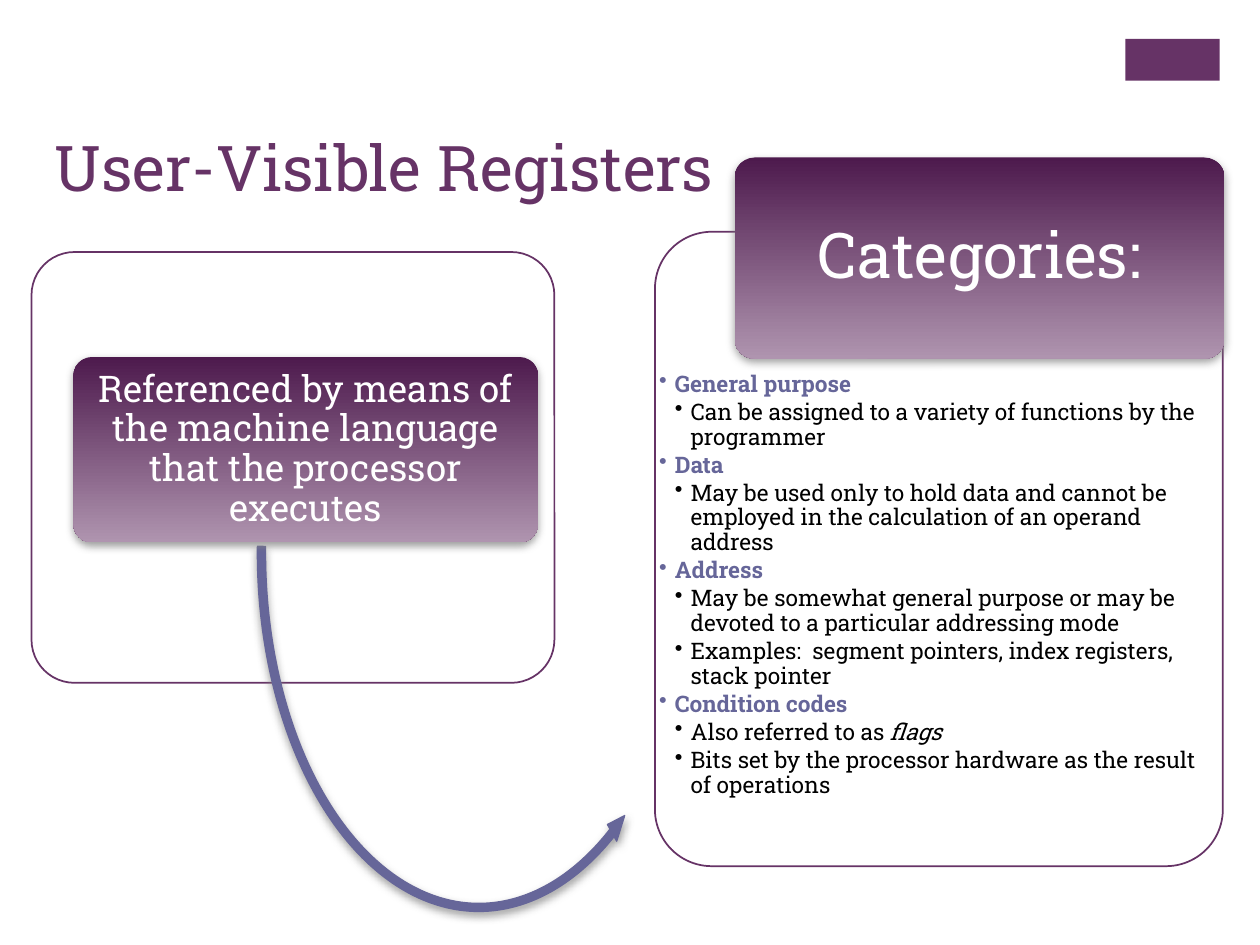
from dataclasses import dataclass

from lxml.etree import SubElement
from pptx import Presentation
from pptx.dml.color import RGBColor
from pptx.enum.shapes import MSO_SHAPE as Shape
from pptx.enum.text import MSO_ANCHOR as Anchor, PP_ALIGN as Align
from pptx.oxml.ns import qn
from pptx.util import Pt

PURPLE = RGBColor(0x66, 0x33, 0x66)
DEEP_PURPLE = RGBColor(0x4D, 0x1A, 0x4D)
PALE_PURPLE = RGBColor(0xAF, 0x94, 0xAF)
SLATE = RGBColor(0x66, 0x66, 0x99)
GREY = RGBColor(0x80, 0x80, 0x80)
WHITE = RGBColor(0xFF, 0xFF, 0xFF)
BLACK = RGBColor(0, 0, 0)
FONT = "Roboto Slab"
INDENT = 9

# Each category has a heading and points; each point is a list of (text, italic).
CATEGORIES = [
    ("General purpose", [
        [("Can be assigned to a variety of functions by the programmer", False)],
    ]),
    ("Data", [
        [("May be used only to hold data and cannot be employed in the "
          "calculation of an operand address", False)],
    ]),
    ("Address", [
        [("May be somewhat general purpose or may be devoted to a particular "
          "addressing mode", False)],
        [("Examples:  segment pointers, index registers, stack pointer", False)],
    ]),
    ("Condition codes", [
        [("Also referred to as ", False), ("flags", True)],
        [("Bits set by the processor hardware as the result of operations", False)],
    ]),
]


@dataclass
class Box:
    """A rectangle in points."""
    left: float
    top: float
    width: float
    height: float

    def inner(self, dx, dy, width, height):
        return Box(self.left + dx, self.top + dy, width, height)

    def lengths(self):
        return [Pt(v) for v in (self.left, self.top, self.width, self.height)]


def add_span(para, text, size, color, bold=False, italic=False):
    span = para.add_run()
    span.text = text
    font = span.font
    font.name, font.size, font.bold, font.italic = FONT, Pt(size), bold, italic
    font.color.rgb = color


def set_insets(frame, across, down):
    frame.margin_left = frame.margin_right = Pt(across)
    frame.margin_top = frame.margin_bottom = Pt(down)
    frame.word_wrap = True


def add_plain_shape(page, kind, box, fill=None, line=None, weight=1):
    shape = page.shapes.add_shape(kind, *box.lengths())
    shape.shadow.inherit = False
    if fill is not None:
        shape.fill.solid()
        shape.fill.fore_color.rgb = fill
    if line is None:
        shape.line.fill.background()
    else:
        shape.line.color.rgb = line
        shape.line.width = Pt(weight)
    return shape


def add_soft_shadow(shape):
    effects = shape.element.spPr.find(qn("a:effectLst"))
    shadow = SubElement(effects, qn("a:outerShdw"), blurRad=str(Pt(5)),
                        dist=str(Pt(2)), dir="5400000", rotWithShape="0")
    color = SubElement(shadow, qn("a:srgbClr"), val=str(GREY))
    SubElement(color, qn("a:alpha"), val="75000")


def add_panel(page, box):
    """Outlined rounded panel with a slightly transparent white fill."""
    panel = add_plain_shape(page, Shape.ROUNDED_RECTANGLE, box, WHITE, PURPLE)
    panel.adjustments[0] = 0.1
    color = panel.element.spPr.find(qn("a:solidFill")).find(qn("a:srgbClr"))
    SubElement(color, qn("a:alpha"), val="90000")


def add_label(page, box, text, size, insets):
    """Rounded gradient label with centred white text."""
    label = add_plain_shape(page, Shape.ROUNDED_RECTANGLE, box)
    label.adjustments[0] = 0.1
    label.fill.gradient()
    label.fill.gradient_angle = 270  # counter-clockwise: dark at the top
    for stop, color in zip(label.fill.gradient_stops, (DEEP_PURPLE, PALE_PURPLE)):
        stop.color.rgb = color
    add_soft_shadow(label)
    frame = label.text_frame
    set_insets(frame, *insets)
    frame.vertical_anchor = Anchor.MIDDLE
    para = frame.paragraphs[0]
    para.alignment = Align.CENTER
    para.line_spacing = 0.9
    add_span(para, text, size, WHITE)


def add_curved_arrow(page, box):
    arrow = add_plain_shape(page, Shape.LEFT_CIRCULAR_ARROW, box, SLATE, SLATE, 0.75)
    for index, value in enumerate((0.018, 2.16, 38.717, 109.047, 0.021)):
        arrow.adjustments[index] = value
    add_soft_shadow(arrow)


def add_bullet(frame, level):
    """Return a new bulleted paragraph, reusing the frame's empty first one."""
    first = frame.paragraphs[0]
    para = frame.add_paragraph() if first.runs else first
    para.level = level
    para.line_spacing = 0.9
    para.space_after = Pt(2)
    props = para._p.get_or_add_pPr()
    props.set("marL", str(Pt(INDENT * (level + 1))))
    props.set("indent", str(-Pt(INDENT)))
    SubElement(props, qn("a:buChar"), char="•")
    return para


def add_category_list(page, box):
    frame = page.shapes.add_textbox(*box.lengths()).text_frame
    set_insets(frame, 2.4, 2.4)
    for heading, points in CATEGORIES:
        add_span(add_bullet(frame, 0), heading, 13, SLATE, bold=True)
        for point in points:
            para = add_bullet(frame, 1)
            for text, italic in point:
                add_span(para, text, 13, BLACK, italic=italic)


def add_reference_region(page, box):
    add_panel(page, box)
    add_curved_arrow(page, box.inner(126, -36, 259.2, 416))
    add_label(page, box.inner(24, 60, 265.5, 106),
              "Referenced by means of the machine language that the processor executes",
              21, (3, 2))


def add_categories_region(page, box):
    add_panel(page, box)
    add_category_list(page, box.inner(0, 78, box.width, box.height - 78))
    add_label(page, box.inner(45.5, -42.5, 280, 115), "Categories:", 36, (5, 3.6))


def set_title(page, box, text):
    title = page.shapes.title
    title.left, title.top, title.width, title.height = box.lengths()
    frame = title.text_frame
    set_insets(frame, 7.2, 3.6)
    frame.vertical_anchor = Anchor.TOP
    para = frame.paragraphs[0]
    para.alignment = Align.LEFT
    add_span(para, text, 36, PURPLE)


def main():
    deck = Presentation()
    deck.slide_width, deck.slide_height = Pt(720), Pt(540)
    page = deck.slides.add_slide(deck.slide_layouts[5])
    add_plain_shape(page, Shape.RECTANGLE, Box(643, 22.3, 54, 23.8), PURPLE)
    set_title(page, Box(24, 70, 595, 88), "User-Visible Registers")
    add_reference_region(page, Box(18, 144, 298.8, 246.2))
    add_categories_region(page, Box(374.3, 132.5, 324.5, 362.5))
    deck.save("out.pptx")


if __name__ == "__main__":
    main()
